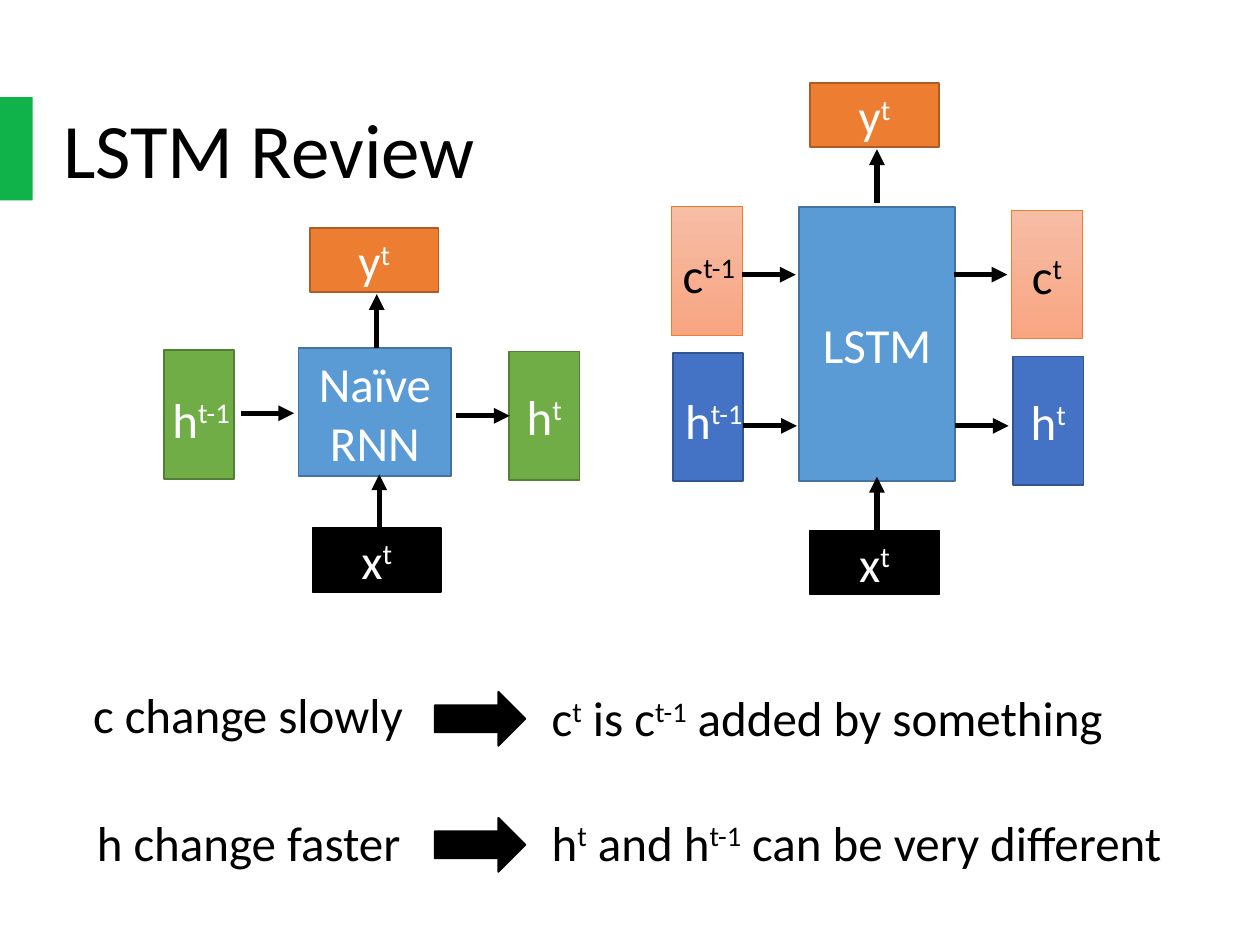
"""Build the LSTM review slide comparing a naive RNN cell with an LSTM cell."""
from lxml import etree
from pptx import Presentation, util as u
from pptx.dml.color import RGBColor
from pptx.enum import shapes, text
from pptx.oxml.ns import qn

COLORS = {
    "black": "000000", "white": "FFFFFF", "accent": "10B349",
    "green": "70AD47", "green edge": "538035",
    "sky": "5B9BD5", "sky edge": "43739E",
    "orange": "ED7D31", "orange edge": "AF5C24",
    "blue": "4472C4", "blue edge": "325491",
    "peach top": "F7BDA5", "peach bottom": "F8A582",
}
RGB = {name: RGBColor.from_string(value) for name, value in COLORS.items()}
ALIGN, ANCHOR = text.PP_ALIGN, text.MSO_ANCHOR

deck = Presentation()
deck.slide_width, deck.slide_height = u.Inches(10), u.Inches(7.5)
COL, ROW = deck.slide_width / 100, deck.slide_height / 75
slide = deck.slides.add_slide(deck.slide_layouts[5])


def grid(x, y, *size):
    return [round(n * unit) for n, unit in zip((x, y, *size), (COL, ROW, COL, ROW))]


def write(frame, words, color="white", align=ALIGN.CENTER, size=28, **layout):
    """Fill a frame; lines split at newlines, superscripts sit between carets."""
    for key, value in {"word_wrap": True, "vertical_anchor": ANCHOR.MIDDLE, **layout}.items():
        setattr(frame, key, value)
    for number, line in enumerate(words.split("\n")):
        paragraph = frame.add_paragraph() if number else frame.paragraphs[0]
        paragraph.alignment = align
        for position, part in enumerate(line.split("^")):
            if not part:
                continue
            run = paragraph.add_run()
            run.text = part
            for key, value in {"name": "Calibri", "size": u.Pt(size)}.items():
                setattr(run.font, key, value)
            run.font.color.rgb = RGB[color]
            if position % 2:
                run.font._element.set("baseline", "30000")


title = slide.shapes.title
for side, value in zip(("left", "top", "width", "height"), grid(4, 8.3, 86.2, 7.7)):
    setattr(title, side, value)
write(title.text_frame, "LSTM Review", "black", ALIGN.LEFT, 44)
title.text_frame.paragraphs[0].line_spacing = 0.9

STATE, PORT, ARROW = (5.6, 10.2), (10.2, 5.1), (7.2, 4.3)
RECT, RIGHT = shapes.MSO_SHAPE.RECTANGLE, shapes.MSO_SHAPE.RIGHT_ARROW
blocks = [
    (RECT, 0, 7.7, (2.6, 8.2), "accent", None, ""),
    (RIGHT, 34.5, 54.9, ARROW, "black", "black", ""),
    (RIGHT, 34.5, 64.9, ARROW, "black", "black", ""),
    (RECT, 13, 27.8, STATE, "green", "green edge", ""),
    (RECT, 23.7, 27.6, (12.1, 10.2), "sky", "sky edge", "Naïve\nRNN"),
    (RECT, 40.4, 27.9, STATE, "green", "green edge", "h^t"),
    (RECT, 24.6, 18.1, PORT, "orange", "orange edge", "y^t"),
    (RECT, 24.8, 41.9, PORT, "black", "black", "x^t"),
    (RECT, 63.4, 16.4, (12.4, 21.8), "sky", "sky edge", "LSTM"),
    (RECT, 53.3, 16.4, STATE, "peach", "orange", ""),
    (RECT, 80.3, 16.7, STATE, "peach", "orange", "c^t"),
    (RECT, 53.4, 28, STATE, "blue", "blue edge", ""),
    (RECT, 80.4, 28.3, STATE, "blue", "blue edge", "h^t"),
    (RECT, 64.3, 6.6, PORT, "orange", "orange edge", "y^t"),
    (RECT, 64.3, 42.1, PORT, "black", "black", "x^t"),
]
for kind, x, y, size, fill, edge, words in blocks:
    block = slide.shapes.add_shape(kind, *grid(x, y, *size))
    block.shadow.inherit = False
    if fill == "peach":
        block.fill.gradient()
        block.fill.gradient_angle = 270
        for stop, shade in zip(block.fill.gradient_stops, ("peach top", "peach bottom")):
            stop.color.rgb = RGB[shade]
    else:
        block.fill.solid()
        block.fill.fore_color.rgb = RGB[fill]
    if edge:
        block.line.color.rgb = RGB[edge]
        block.line.width = u.Pt(0.5 if fill == "peach" else 1)
    else:
        block.line.fill.background()
    if words:
        write(block.text_frame, words, "black" if fill == "peach" else "white")

REACH = 4.25
flows = [
    (19.1, 32.8, 1, 0), (36.2, 33, 1, 0), (29.9, 27.6, 0, -1), (30.1, 41.9, 0, -1),
    (58.9, 21.8, 1, 0), (59, 33.8, 1, 0), (75.7, 21.8, 1, 0), (75.8, 33.8, 1, 0),
    (69.6, 16.1, 0, -1), (69.6, 42.1, 0, -1),
]
for x, y, across, down in flows:
    flow = slide.shapes.add_connector(
        shapes.MSO_CONNECTOR.STRAIGHT, *grid(x, y), *grid(x + across * REACH, y + down * REACH))
    flow.line.color.rgb = RGB["black"]
    flow.line.width = u.Pt(3)
    etree.SubElement(flow.line._get_or_add_ln(), qn("a:tailEnd"), type="triangle")
    etree.SubElement(flow._element.spPr, qn("a:effectLst"))

previous, statement = (ALIGN.CENTER, False), (ALIGN.LEFT, True)
labels = [
    (12.4, 30.4, 7.1, "h^t-1", "white", previous),
    (53.1, 30.5, 7.1, "h^t-1", "white", previous),
    (52.9, 18.9, 6.7, "c^t-1", "black", previous),
    (6.4, 53.8, 28.6, "c change slowly", "black", statement),
    (6.7, 64, 28.6, "h change faster", "black", statement),
    (42.8, 54.1, 49.1, "c^t^ is c^t-1^ added by something", "black", statement),
    (42.8, 64, 54.5, "h^t^ and h^t-1^ can be very different", "black", statement),
]
for x, y, width, words, color, (align, wrap) in labels:
    label = slide.shapes.add_textbox(*grid(x, y, width, 5.7))
    write(label.text_frame, words, color, align, word_wrap=wrap, vertical_anchor=ANCHOR.TOP,
          auto_size=text.MSO_AUTO_SIZE.SHAPE_TO_FIT_TEXT)

deck.save("out.pptx")
